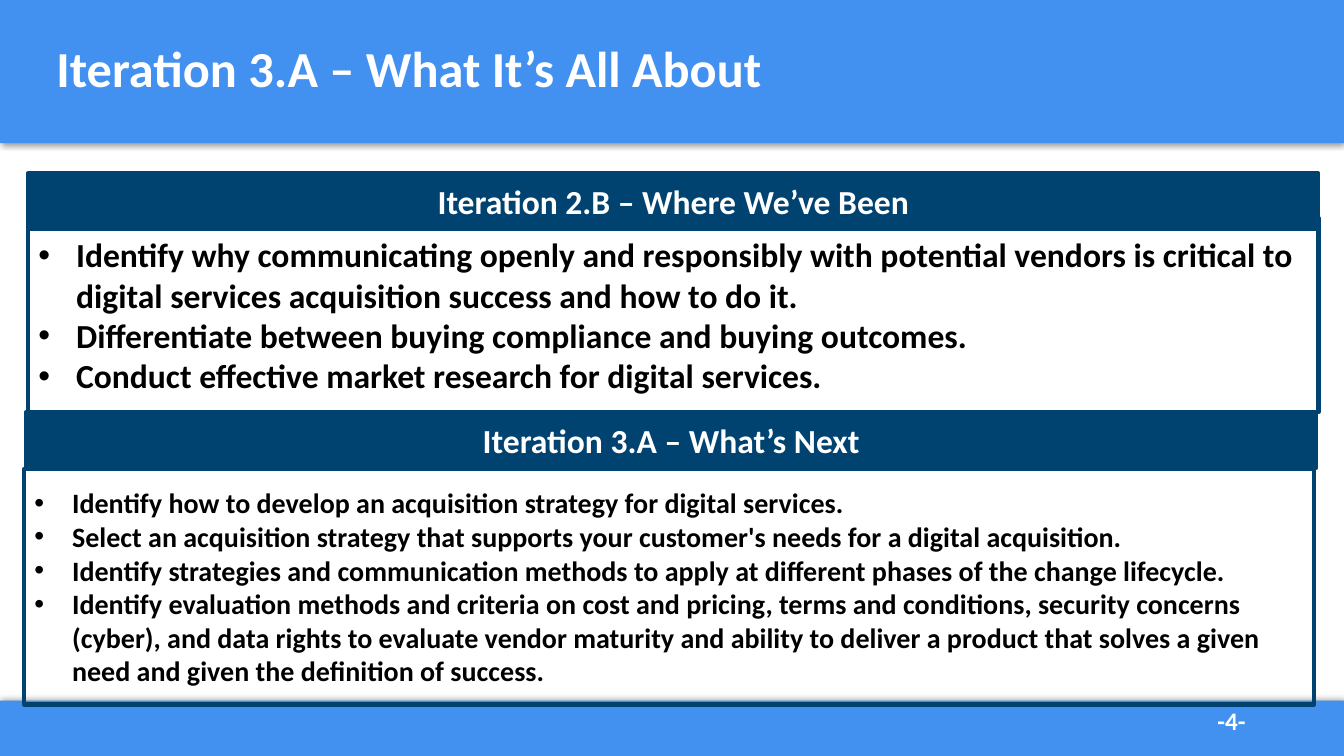
from lxml import etree
from pptx import Presentation
from pptx.dml.color import RGBColor
from pptx.enum.shapes import MSO_SHAPE
from pptx.enum.text import MSO_ANCHOR, MSO_AUTO_SIZE, PP_ALIGN
from pptx.oxml import parse_xml
from pptx.oxml.ns import nsdecls, qn
from pptx.util import Pt

COLORS = {"blue": "4291F0", "navy": "004370", "white": "FFFFFF", "black": "000000"}


def write(shape, lines, size, color, align=PP_ALIGN.LEFT, bulleted=False):
    frame = shape.text_frame
    frame.text = "\n".join(lines)
    frame.word_wrap = True
    frame.auto_size = MSO_AUTO_SIZE.NONE
    frame.vertical_anchor = MSO_ANCHOR.MIDDLE
    for paragraph in frame.paragraphs:
        paragraph.alignment = align
        paragraph.space_before = Pt(0)
        if bulleted:
            properties = paragraph._p.get_or_add_pPr()
            properties.set("marL", str(Pt(27)))
            properties.set("indent", str(-Pt(27)))
            etree.SubElement(properties, qn("a:buFont"), typeface="Arial")
            etree.SubElement(properties, qn("a:buChar"), char="•")
        for run in paragraph.runs:
            run.font.name = "Calibri"
            run.font.size = Pt(size)
            run.font.bold = True
            run.font.color.rgb = RGBColor.from_string(COLORS[color])


def place(shape, left, top, width, height):
    shape.left, shape.top = Pt(left), Pt(top)
    shape.width, shape.height = Pt(width), Pt(height)


presentation = Presentation()
presentation.slide_width, presentation.slide_height = Pt(960), Pt(540)
slide = presentation.slides.add_slide(presentation.slide_layouts[3])
title, been_list, next_list = slide.placeholders

for top, height, direction in [(0, 102.24, 90), (500.4, 39.6, 270)]:
    bar = slide.shapes.add_shape(MSO_SHAPE.RECTANGLE, 0, Pt(top), Pt(960), Pt(height))
    bar.fill.solid()
    bar.fill.fore_color.rgb = RGBColor.from_string(COLORS["blue"])
    bar.line.fill.background()
    bar.shadow.inherit = False
    bar._element.spPr.find(qn("a:effectLst")).append(parse_xml(
        f'<a:outerShdw {nsdecls("a")} blurRad="{Pt(4)}" dist="{Pt(1)}" '
        f'dir="{direction * 60000}" algn="t" rotWithShape="0">'
        f'<a:srgbClr val="{COLORS["black"]}"><a:alpha val="40000"/></a:srgbClr>'
        '</a:outerShdw>'))
    slide.shapes._spTree.insert(2, bar._element)

place(title, 33.12, -1.44, 894.24, 104.4)
write(title, ["Iteration 3.A – What It’s All About"], 36, "white")
title.text_frame.paragraphs[0].line_spacing = 0.9

sections = [
    ("Iteration 2.B – Where We’ve Been", (20.16, 123.84), been_list, (20.16, 155.52, 138.96), 24, [
        "Identify why communicating openly and responsibly with potential vendors is critical to "
        "digital services acquisition success and how to do it.",
        "Differentiate between buying compliance and buying outcomes.",
        "Conduct effective market research for digital services.",
    ]),
    ("Iteration 3.A – What’s Next", (18.72, 294.48), next_list, (17.28, 334.8, 168.48), 20, [
        "Identify how to develop an acquisition strategy for digital services.",
        "Select an acquisition strategy that supports your customer's needs for a digital acquisition.",
        "Identify strategies and communication methods to apply at different phases of the change lifecycle.",
        "Identify evaluation methods and criteria on cost and pricing, terms and conditions, security "
        "concerns (cyber), and data rights to evaluate vendor maturity and ability to deliver a product "
        "that solves a given need and given the definition of success.",
    ]),
]
for heading, (band_left, band_top), goals, (left, top, height), size, lines in sections:
    band = slide.shapes.add_shape(
        MSO_SHAPE.RECTANGLE, Pt(band_left), Pt(band_top), Pt(921.6), Pt(39.6))
    band.fill.solid()
    band.fill.fore_color.rgb = RGBColor.from_string(COLORS["navy"])
    band.shadow.inherit = False
    write(band, [heading], 24, "white", PP_ALIGN.CENTER)
    place(goals, left, top, 921.6, height)
    write(goals, lines, size, "black", bulleted=True)
    for outlined in (band, goals):
        outlined.line.color.rgb = RGBColor.from_string(COLORS["navy"])
        outlined.line.width = Pt(3)

page_number = slide.shapes.add_textbox(Pt(862.56), Pt(500.4), Pt(70.56), Pt(28.8))
write(page_number, ["-4-"], 18, "white")

presentation.save("out.pptx")
